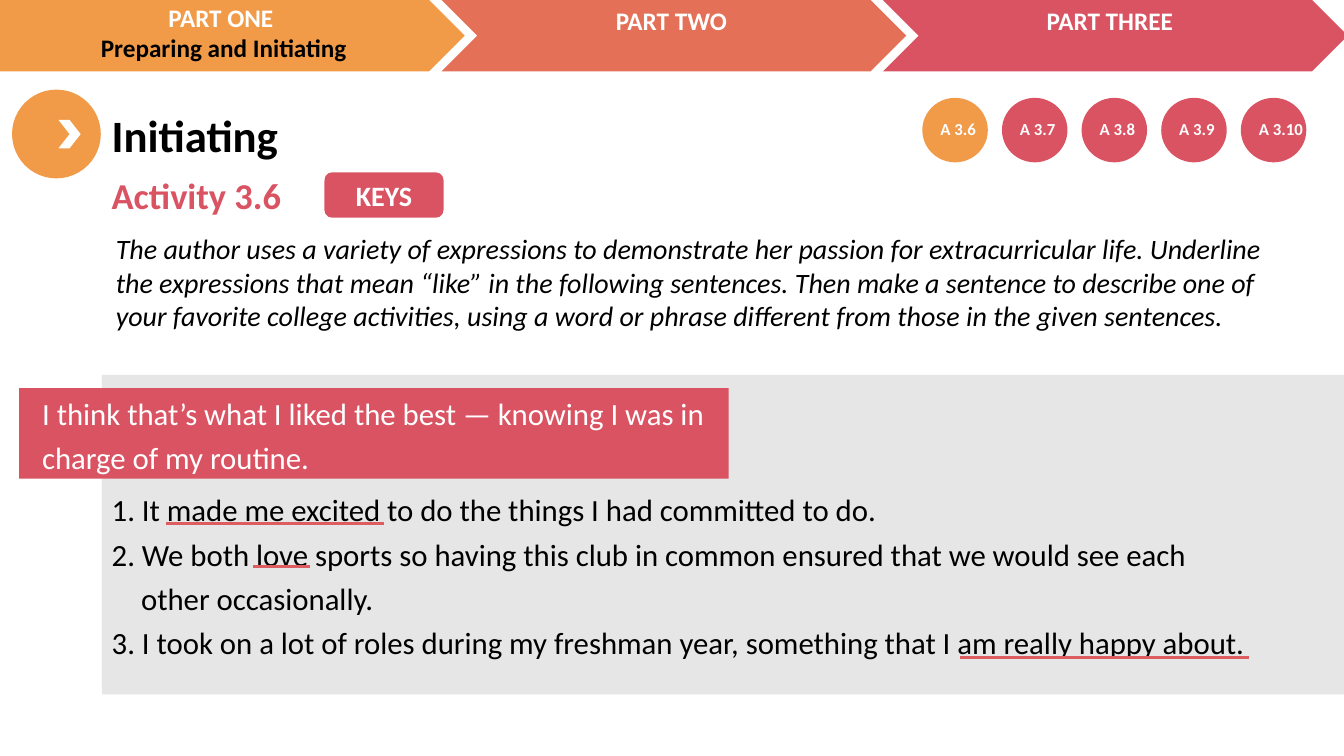
from lxml import etree
from pptx import Presentation
from pptx.dml.color import RGBColor
from pptx.enum import shapes, text
from pptx.oxml import ns
from pptx.util import Pt

ORANGE, CORAL, RED = "F19B48", "E47057", "DA5362"
GREY, WHITE, BLACK, UNDERLINE = "E7E6E6", "FFFFFF", "000000", "DD5C60"
SHAPE = shapes.MSO_SHAPE
CENTER = text.PP_ALIGN.CENTER


def rgb(value):
    return RGBColor.from_string(value)


class Deck:
    font = "Calibri"

    def __init__(self, width, height):
        self.prs = Presentation()
        self.prs.slide_width, self.prs.slide_height = Pt(width), Pt(height)
        self.s = self.prs.slides.add_slide(self.prs.slide_layouts[6])

    def shape(self, kind, x, y, w, h, fill):
        sp = self.s.shapes.add_shape(kind, Pt(x), Pt(y), Pt(w), Pt(h))
        sp.shadow.inherit = False
        sp.fill.solid()
        sp.fill.fore_color.rgb = rgb(fill)
        sp.line.fill.background()
        return sp

    def set_text(self, tf, lines, size, color, bold=False, italic=False,
                 align=None, spacing=None, hanging=0):
        """Fill a text frame with one paragraph for each line."""
        for i, line in enumerate(lines):
            p = tf.paragraphs[0] if i == 0 else tf.add_paragraph()
            p.text = line
            p.alignment = align
            p.line_spacing = spacing
            if hanging:
                pPr = p._p.get_or_add_pPr()
                pPr.set("marL", str(Pt(hanging)))
                pPr.set("indent", str(-Pt(hanging)))
            p.font.name, p.font.size = self.font, Pt(size)
            p.font.bold, p.font.italic = bold, italic
            p.font.color.rgb = rgb(color)

    def label(self, x, y, w, h, lines, size, color, **style):
        """Add a wrapping text box."""
        tf = self.s.shapes.add_textbox(Pt(x), Pt(y), Pt(w), Pt(h)).text_frame
        tf.word_wrap = True
        self.set_text(tf, lines, size, color, **style)
        return tf

    def rule(self, x1, x2, y, color, width):
        """Draw a horizontal line."""
        c = self.s.shapes.add_connector(
            shapes.MSO_CONNECTOR.STRAIGHT, Pt(x1), Pt(y), Pt(x2), Pt(y))
        c.line.color.rgb = rgb(color)
        c.line.width = Pt(width)
        etree.SubElement(c._element.spPr, ns.qn("a:effectLst"))


def main():
    d = Deck(960, 540)

    # Heading
    d.shape(SHAPE.OVAL, 8.6, 64, 63.4, 63.4, ORANGE)
    d.label(72.7, 73.4, 349, 46, ["Initiating"], 32, BLACK, bold=True)

    # Progress bar
    for x, w, color in ((315.4, 332, CORAL), (630.7, 332, RED), (-44, 376, ORANGE)):
        d.shape(SHAPE.CHEVRON, x, 0, w, 51, color)
    d.shape(SHAPE.CHEVRON, 41.8, 85.7, 15.8, 20.2, WHITE)
    parts = ((-4.3, -2.2, ["PART ONE ", "Preparing and Initiating"]),
             (315.4, 0, ["PART TWO"]),
             (628.6, 0, ["PART THREE"]))
    for x, y, lines in parts:
        tf = d.label(x, y, 328.3, 29 * len(lines), lines, 18, WHITE,
                     bold=True, align=CENTER)
        for p in tf.paragraphs[1:]:
            p.font.color.rgb = rgb(BLACK)

    # Activity and instructions
    d.label(72.7, 120.2, 857.5, 39, ["Activity 3.6"], 26, RED, bold=True)
    d.label(75.6, 162, 850.3, 80, [
        "The author uses a variety of expressions to demonstrate her passion for "
        "extracurricular life. Underline the expressions that mean “like” in the "
        "following sentences. Then make a sentence to describe one of your favorite "
        "college activities, using a word or phrase different from those in the "
        "given sentences."], 20, BLACK, italic=True)
    d.shape(SHAPE.RECTANGLE, 72.7, 267.8, 927.4, 228.2, GREY)
    keys = d.shape(SHAPE.ROUNDED_RECTANGLE, 231.8, 123.1, 85, 32.4, RED)
    keys.text_frame.vertical_anchor = text.MSO_ANCHOR.MIDDLE
    d.set_text(keys.text_frame, ["KEYS"], 20, WHITE, bold=True, align=CENTER)

    # Activity markers
    for i in range(5):
        x = 658.8 + 56.88 * i
        d.shape(SHAPE.OVAL, x, 69.9, 46.8, 46.1, RED if i else ORANGE)
        d.label(x + 5.8, 81, 56.9, 21.6, [f"A 3.{6 + i}"], 12, WHITE, bold=True)

    # Example and answers
    d.shape(SHAPE.RECTANGLE, 13.7, 277.2, 506.9, 64.8, RED)
    d.label(23, 272.9, 497.5, 69, [
        "I think that’s what I liked the best — knowing I was in charge of my routine."],
        22, WHITE, spacing=1.2)
    d.label(72.7, 342, 829.4, 133, [
        "1. It made me excited to do the things I had committed to do.",
        "2. We both love sports so having this club in common ensured that we would "
        "see each other occasionally.",
        "3. I took on a lot of roles during my freshman year, something that I am "
        "really happy about."], 22, BLACK, spacing=1.2, hanging=21)
    for x1, x2, y in ((118.8, 274.3, 373.7), (685.4, 892.1, 469.4), (180.7, 221.8, 404.6)):
        d.rule(x1, x2, y, UNDERLINE, 2.25)

    d.prs.save("out.pptx")


if __name__ == "__main__":
    main()
